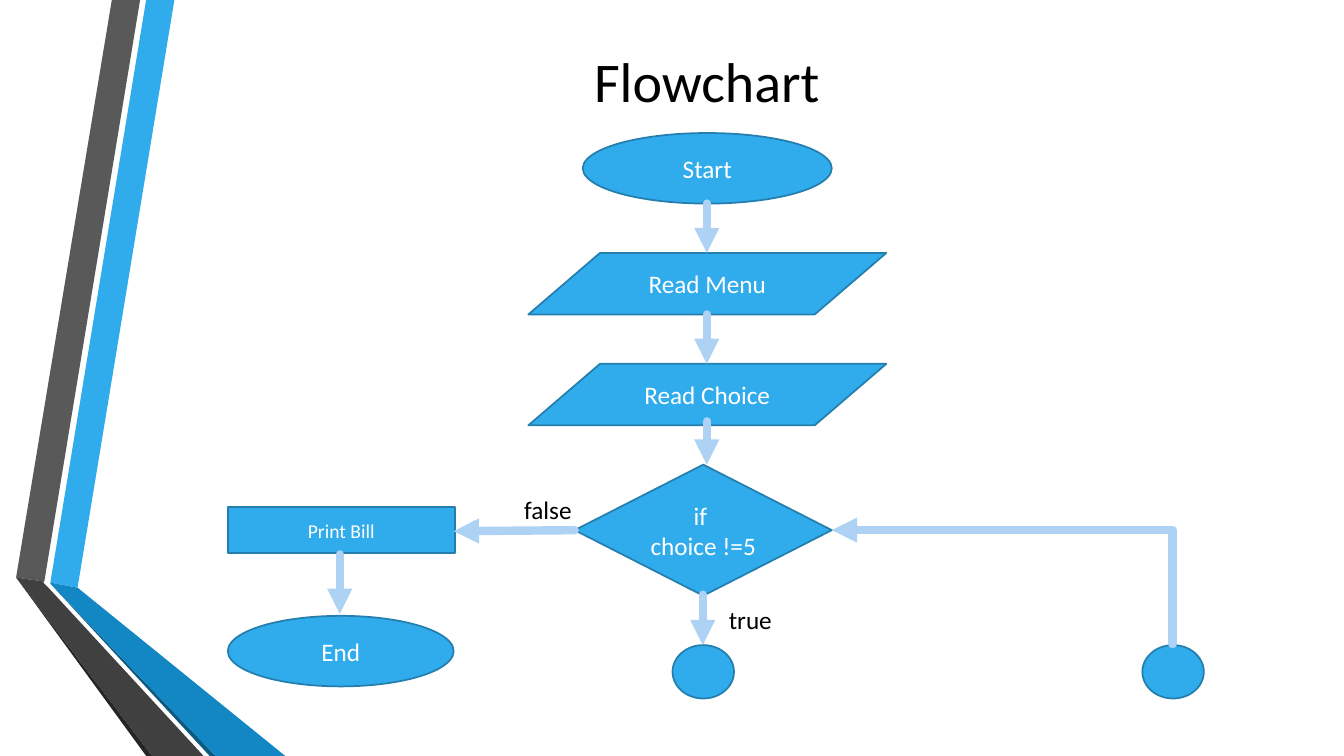
"""Build the menu-ordering flowchart slide."""
from lxml.etree import SubElement
from pptx import Presentation
from pptx.dml.color import RGBColor
from pptx.enum.shapes import MSO_CONNECTOR, MSO_SHAPE
from pptx.enum.text import MSO_ANCHOR, PP_ALIGN
from pptx.oxml.ns import qn
from pptx.util import Inches, Pt

BLUE, EDGE, PALE = "30ACEC", "247FAF", "AED2F4"
BLACK, WHITE = "000000", "FFFFFF"

RIBBONS = [
    (BLUE, [(0.5, 5.78), (0.77, 5.83), (1.73, 0), (1.45, 0)]),
    ("595959", [(1.39, 0), (1.11, 0), (0.16, 5.73), (0.44, 5.77)]),
    ("262626", [(0.16, 5.73), (1.45, 7.5), (1.51, 7.5)]),
    ("0C5A82", [(0.5, 5.79), (2.08, 7.5), (2.14, 7.5)]),
    ("1287C3", [(0.5, 5.79), (2.14, 7.5), (2.83, 7.5), (0.77, 5.83), (0.5, 5.78)]),
    ("404040", [(2.02, 7.5), (0.48, 5.83), (0.43, 5.78), (0.44, 5.77), (0.16, 5.73), (1.51, 7.5)]),
]

STEPS = [
    (MSO_SHAPE.OVAL, (5.78, 1.32, 2.47, 0.7), "Start", 18),
    (MSO_SHAPE.FLOWCHART_DATA, (5.24, 2.51, 3.55, 0.61), "Read Menu", 18),
    (MSO_SHAPE.FLOWCHART_DATA, (5.24, 3.61, 3.55, 0.61), "Read Choice", 18),
    (MSO_SHAPE.FLOWCHART_DECISION, (5.7, 4.61, 2.55, 1.3), "if \nchoice !=5", 18),
    (MSO_SHAPE.FLOWCHART_CONNECTOR, (6.67, 6.4, 0.61, 0.53), "", 18),
    (MSO_SHAPE.FLOWCHART_CONNECTOR, (11.33, 6.4, 0.61, 0.53), "", 18),
    (MSO_SHAPE.RECTANGLE, (2.26, 5.03, 2.25, 0.46), "Print Bill", 14),
    (MSO_SHAPE.OVAL, (2.26, 6.11, 2.24, 0.7), "End", 18),
]

ARROWS = [
    ((7.01, 2.02), (7.01, 2.51)),
    ((7.01, 3.12), (7.01, 3.61)),
    ((7.01, 4.18), (7.01, 4.61)),
    ((6.97, 5.9), (6.97, 6.4)),
    ((5.7, 5.26), (4.5, 5.27)),
    ((3.37, 5.5), (3.37, 6.09)),
]
LOOP_BACK = ((11.63, 6.39), (8.25, 5.26))

TITLE = ("Flowchart", (1.53, 0.33, 10.96, 0.93), 40, PP_ALIGN.CENTER, MSO_ANCHOR.MIDDLE)
BRANCHES = [
    ("true", (7.13, 5.95, 0.98, 0.4), 18, PP_ALIGN.LEFT, MSO_ANCHOR.TOP),
    ("false", (5.1, 4.86, 0.98, 0.4), 18, PP_ALIGN.LEFT, MSO_ANCHOR.TOP),
]


def paint(color_format, hex_color):
    color_format.rgb = RGBColor.from_string(hex_color)


def write(frame, words, size, color, align, anchor):
    frame.text = words
    frame.word_wrap = True
    frame.vertical_anchor = anchor
    for paragraph in frame.paragraphs:
        paragraph.alignment = align
        for run in paragraph.runs:
            run.font.name = "Calibri"
            run.font.size = Pt(size)
            paint(run.font.color, color)


def add_ribbon(shapes, color, corners):
    start, *rest = [(Inches(x), Inches(y)) for x, y in corners]
    builder = shapes.build_freeform(*start)
    builder.add_line_segments(rest, close=True)
    ribbon = builder.convert_to_shape()
    ribbon.shadow.inherit = False
    ribbon.fill.solid()
    paint(ribbon.fill.fore_color, color)
    ribbon.line.fill.background()


def add_step(shapes, outline, box, words, size):
    step = shapes.add_shape(outline, *map(Inches, box))
    step.shadow.inherit = False
    step.fill.solid()
    paint(step.fill.fore_color, BLUE)
    paint(step.line.color, EDGE)
    step.line.width = Pt(1.25)
    if words:
        write(step.text_frame, words, size, WHITE, PP_ALIGN.CENTER, MSO_ANCHOR.MIDDLE)


def add_label(shapes, words, box, size, align, anchor):
    label = shapes.add_textbox(*map(Inches, box))
    write(label.text_frame, words, size, BLACK, align, anchor)


def add_arrow(shapes, start, end, route=MSO_CONNECTOR.STRAIGHT):
    arrow = shapes.add_connector(route, *map(Inches, start + end))
    paint(arrow.line.color, PALE)
    arrow.line.width = Pt(6)
    properties = arrow.element.spPr
    stroke = properties.find(qn("a:ln"))
    stroke.set("cap", "rnd")
    SubElement(stroke, qn("a:round"))
    SubElement(stroke, qn("a:tailEnd"), type="triangle")
    SubElement(properties, qn("a:effectLst"))
    return properties


def add_corner_arrow(shapes, start, end):
    """Draw an arrow that goes up from start, then left to end."""
    center_x, center_y = [(a + b) / 2 for a, b in zip(start, end)]
    half_run, half_rise = (start[0] - end[0]) / 2, (start[1] - end[1]) / 2
    properties = add_arrow(
        shapes,
        (center_x - half_rise, center_y + half_run),
        (center_x + half_rise, center_y - half_run),
        MSO_CONNECTOR.ELBOW,
    )
    properties.find(qn("a:xfrm")).set("rot", str(270 * 60000))
    properties.find(qn("a:prstGeom")).set("prst", "bentConnector2")


def main():
    deck = Presentation()
    deck.slide_width, deck.slide_height = Inches(13.33), Inches(7.5)
    shapes = deck.slides.add_slide(deck.slide_layouts[6]).shapes
    for ribbon in RIBBONS:
        add_ribbon(shapes, *ribbon)
    for step in STEPS:
        add_step(shapes, *step)
    for arrow in ARROWS:
        add_arrow(shapes, *arrow)
    add_corner_arrow(shapes, *LOOP_BACK)
    for label in [TITLE, *BRANCHES]:
        add_label(shapes, *label)
    deck.save("out.pptx")


if __name__ == "__main__":
    main()
